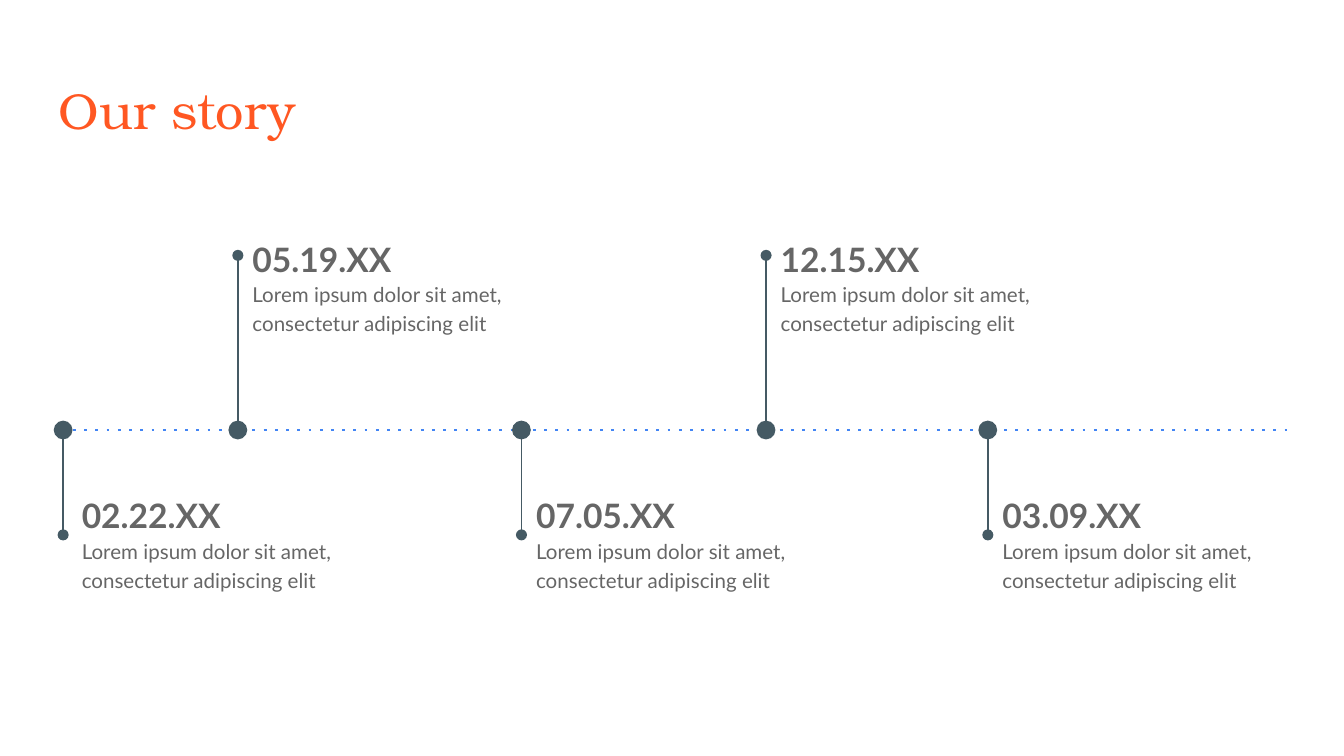
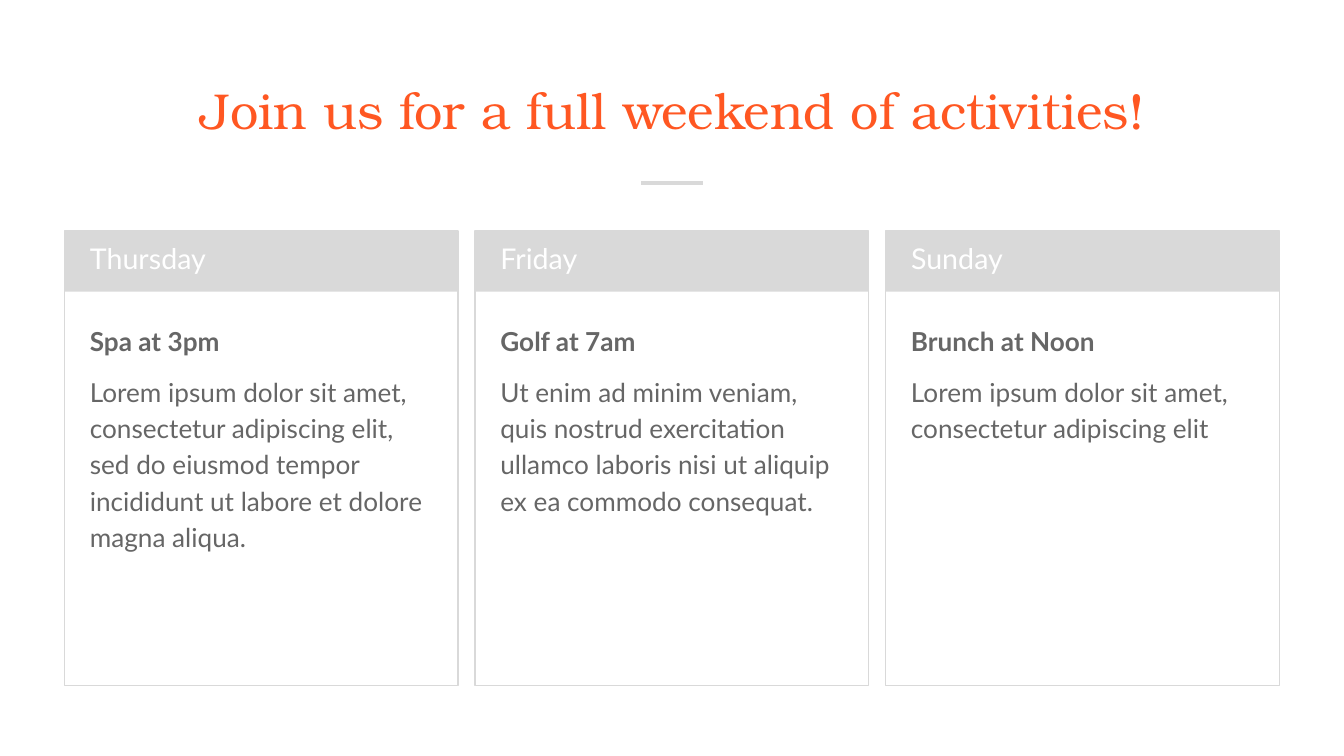
from lxml import etree
from pptx import Presentation
from pptx.dml.color import RGBColor
from pptx.enum.shapes import MSO_CONNECTOR, MSO_SHAPE
from pptx.enum.text import PP_ALIGN
from pptx.oxml.ns import qn
from pptx.util import Inches, Pt

STRAIGHT = MSO_CONNECTOR.STRAIGHT
OVAL = MSO_SHAPE.OVAL
RECT = MSO_SHAPE.RECTANGLE
LEFT, CENTER = PP_ALIGN.LEFT, PP_ALIGN.CENTER

COLORS = {name: RGBColor.from_string(value) for name, value in {
    "title": "FF5722", "text": "666666", "white": "FFFFFF",
    "axis": "4285F4", "marker": "455A64", "card": "D9D9D9",
}.items()}
TITLE_FONT, BODY_FONT = "TeX Gyre Bonum", "Lato"
TITLE_BOX = (0.34, 0.49, 9.32, 0.63)


def add_text(slide, box, lines, color="text", font=BODY_FONT, spacing=1.15, align=LEFT):
    """Add a text box; each line is (text, size, bold). Returns its text frame."""
    tf = slide.shapes.add_textbox(*map(Inches, box)).text_frame
    tf.word_wrap = True
    tf.margin_left = tf.margin_right = tf.margin_top = tf.margin_bottom = Inches(0.1)
    for i, (text, size, bold) in enumerate(lines):
        p = tf.add_paragraph() if i else tf.paragraphs[0]
        p.text = text
        p.alignment = align
        p.line_spacing = spacing
        f = p.runs[0].font
        f.name, f.size, f.bold = font, Pt(size), bold
        f.color.rgb = COLORS[color]
    return tf


def add_line(slide, x1, y1, x2, y2, color, width, dash=None, tail=None):
    line = slide.shapes.add_connector(STRAIGHT, *map(Inches, (x1, y1, x2, y2)))
    line.line.color.rgb = COLORS[color]
    line.line.width = Pt(width)
    ln = line._element.spPr.find(qn("a:ln"))
    if dash:
        etree.SubElement(ln, qn("a:prstDash"), val=dash)
    if tail:
        etree.SubElement(ln, qn("a:tailEnd"), type=tail)
    etree.SubElement(line._element.spPr, qn("a:effectLst"))


prs = Presentation()
prs.slide_width = Inches(10)
prs.slide_height = prs.slide_width * 9 // 16
blank = prs.slide_layouts[6]

# Slide 1: timeline
s = prs.slides.add_slide(blank)
AXIS_Y, RADIUS = 3.2, 0.07
add_line(s, 0.46, AXIS_Y, 9.58, AXIS_Y, "axis", 1.5, dash="dot")
add_text(s, TITLE_BOX, [("Our story", 27, False)], "title", TITLE_FONT, 1)

milestones = [  # date, marker centre, text left
    ("02.22.XX", 0.47, 0.51),
    ("05.19.XX", 1.77, 1.78),
    ("07.05.XX", 3.88, 3.89),
    ("12.15.XX", 5.7, 5.71),
    ("03.09.XX", 7.35, 7.36),
]
for i, (date, x, text_x) in enumerate(milestones):
    above = i % 2 == 1
    sp = s.shapes.add_shape(OVAL, Inches(x - RADIUS), Inches(AXIS_Y - RADIUS),
                            Inches(2 * RADIUS), Inches(2 * RADIUS))
    sp.shadow.inherit = False
    sp.fill.solid()
    sp.fill.fore_color.rgb = COLORS["marker"]
    sp.line.fill.background()
    start, end = (AXIS_Y - RADIUS, 1.9) if above else (AXIS_Y + RADIUS, 3.98)
    add_line(s, x, start, x, end, "marker", 0.75, tail="oval")
    top, height = (1.63, 1.2) if above else (3.54, 1.32)
    add_text(s, (text_x, top, 2.38, height), [
        (date, 18, True),
        ("Lorem ipsum dolor sit amet, consectetur adipiscing elit", 11, False),
    ])

# Slide 2: activity cards
s = prs.slides.add_slide(blank)
add_text(s, TITLE_BOX, [("Join us for a full weekend of activities!", 27, False)],
         "title", TITLE_FONT, 1, CENTER)
add_line(s, 4.77, 1.36, 5.23, 1.36, "card", 2.25)

cards = [
    ("Thursday", "Spa at 3pm",
     "Lorem ipsum dolor sit amet, consectetur adipiscing elit, sed do eiusmod "
     "tempor incididunt ut labore et dolore magna aliqua."),
    ("Friday", "Golf at 7am",
     "Ut enim ad minim veniam, quis nostrud exercitation ullamco laboris nisi "
     "ut aliquip ex ea commodo consequat."),
    ("Sunday", "Brunch at Noon",
     "Lorem ipsum dolor sit amet, consectetur adipiscing elit"),
]
CARD_LEFT, CARD_RIGHT, CARD_TOP, CARD_W = 0.48, 9.52, 1.72, 2.93
CARD_H, HEADER_H = 3.38, 0.45
step = (CARD_RIGHT - CARD_LEFT - CARD_W) / (len(cards) - 1)
for i, (day, activity, details) in enumerate(cards):
    x = CARD_LEFT + i * step
    for height, filled in ((CARD_H, False), (HEADER_H, True)):
        sp = s.shapes.add_shape(RECT, Inches(x), Inches(CARD_TOP),
                                Inches(CARD_W), Inches(height))
        sp.shadow.inherit = False
        if filled:
            sp.fill.solid()
            sp.fill.fore_color.rgb = COLORS["card"]
            sp.line.fill.background()
        else:
            sp.fill.background()
            sp.line.color.rgb = COLORS["card"]
            sp.line.width = Pt(0.75)
    add_text(s, (x + 0.09, 1.71, 2.72, HEADER_H), [(day, 15.3, False)], "white", spacing=0.95)
    tf = add_text(s, (x + 0.09, 2.29, 2.73, 2.8),
                  [(activity, 14, True), (details, 14, False)])
    p = tf.paragraphs[1]
    p.space_before = p.space_after = Pt(8)

prs.save("out.pptx")
